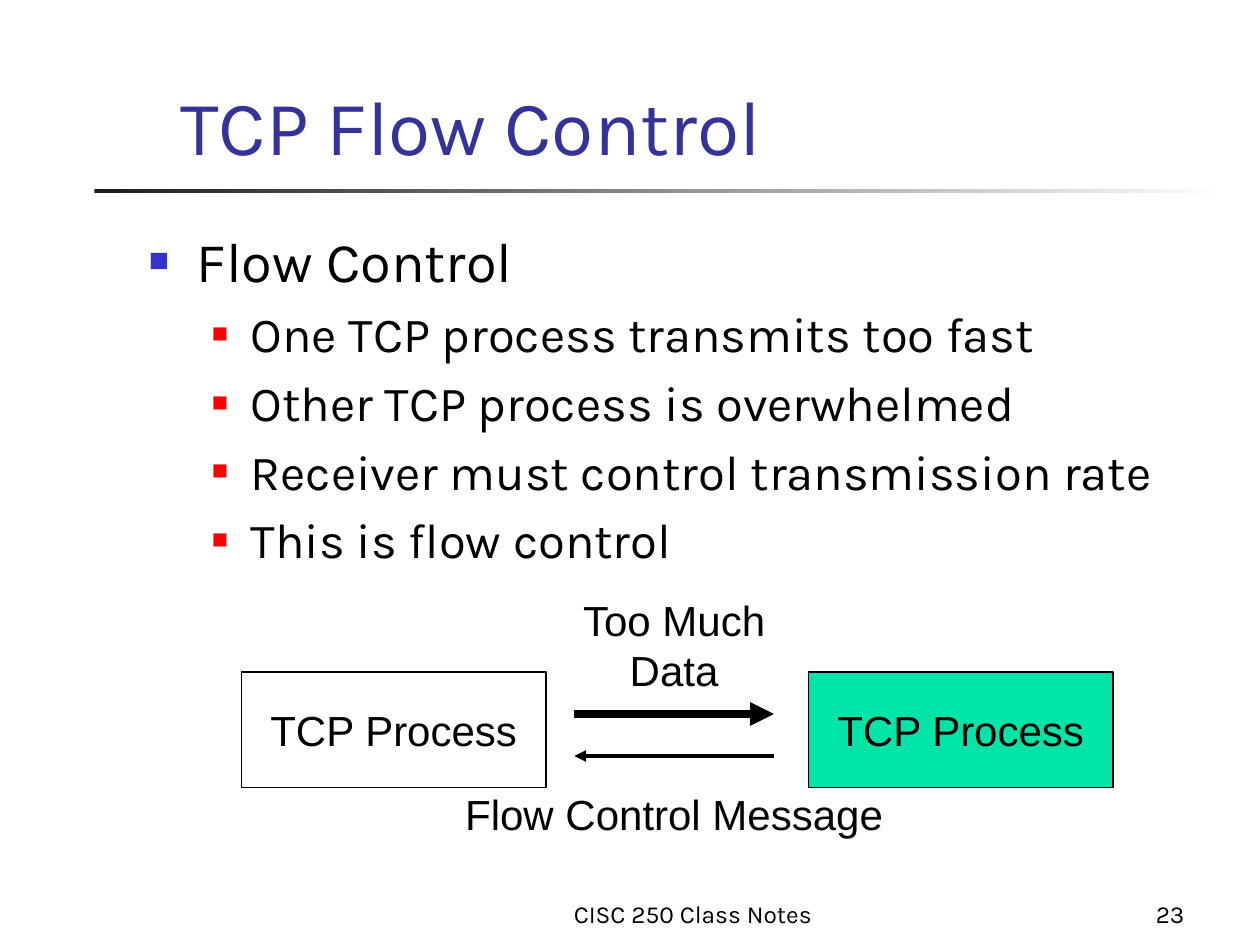
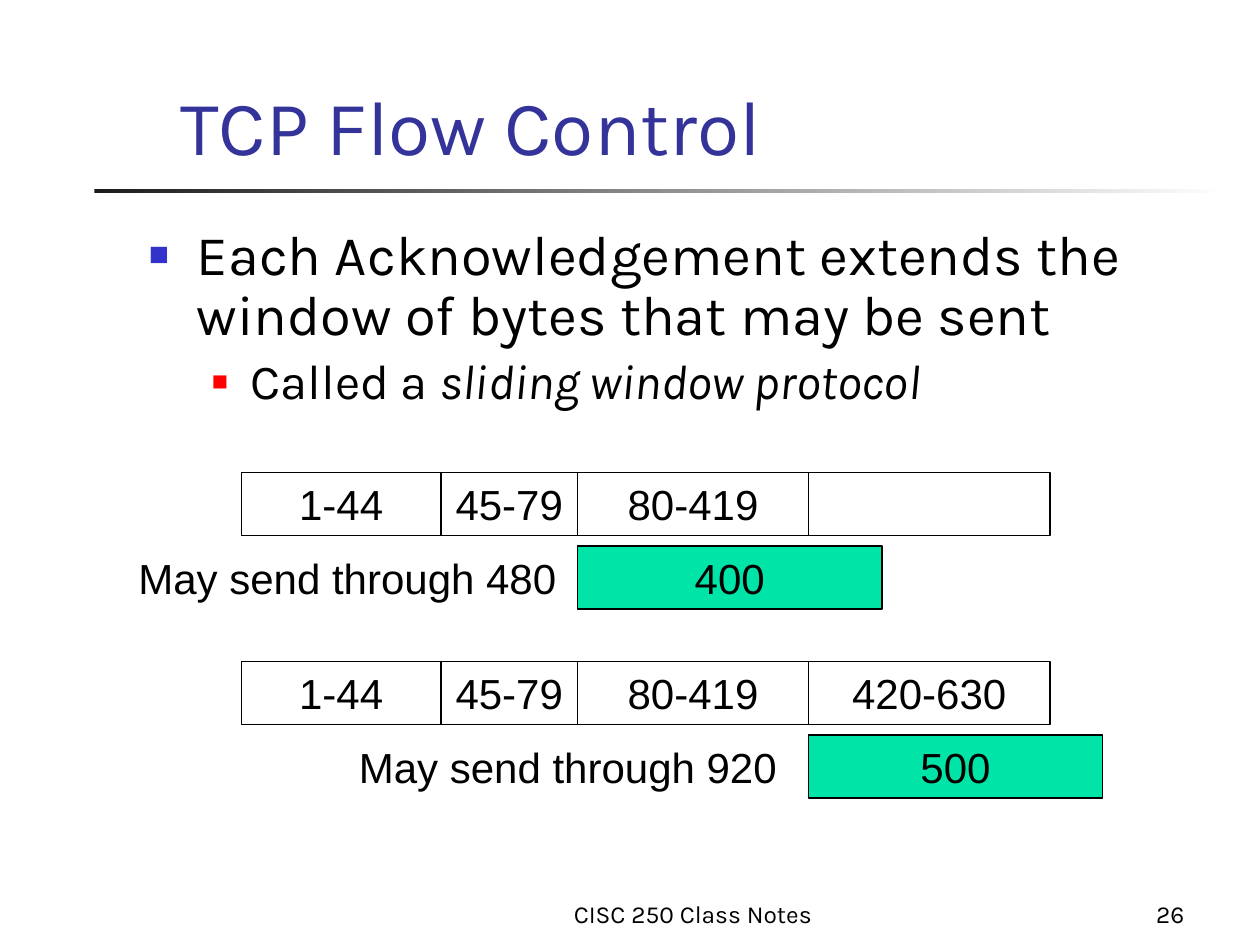
from lxml.etree import SubElement
from pptx import Presentation
from pptx.dml.color import RGBColor
from pptx.enum.shapes import MSO_CONNECTOR as Connector, MSO_SHAPE as Shape
from pptx.enum.text import MSO_ANCHOR as Anchor, MSO_AUTO_SIZE as AutoSize, PP_ALIGN as Align
from pptx.oxml.ns import qn
from pptx.util import Inches, Pt

BLACK, WHITE, GREEN, TITLE_BLUE = "000000", "FFFFFF", "00E4A8", "333399"
# Per bullet level: text size, left margin, hanging indent (inches), colour, percent size
LEVELS = [(32, 0.38, 0.38, "3333CC", 60), (28, 0.81, 0.31, "FF0000", 55)]

deck = Presentation()
deck.slide_width, deck.slide_height = Inches(10), Inches(7.5)
UNIT = deck.slide_width / 120  # square grid: 120 columns by 90 rows


def paint(fill, color):
    fill.solid()
    fill.fore_color.rgb = RGBColor.from_string(color)


def write(page, cell, text, *, font="Arial", size=24, color=BLACK, align=Align.CENTER,
          anchor=Anchor.TOP, wrap=False, fill=None, levels=None, spacing=None):
    """Place text in a grid cell; a fill makes it a box, *stars* mark italics."""
    place = [round(value * UNIT) for value in cell]
    if fill:
        box = page.shapes.add_shape(Shape.RECTANGLE, *place)
        box.shadow.inherit = False
        paint(box.fill, fill)
        paint(box.line.fill, BLACK)
        box.line.width = Pt(0.75)
        anchor = Anchor.MIDDLE
    else:
        box = page.shapes.add_textbox(*place)
    frame = box.text_frame
    frame.word_wrap, frame.vertical_anchor = wrap, anchor
    frame.auto_size = AutoSize.NONE if wrap or fill else AutoSize.SHAPE_TO_FIT_TEXT

    for number, line in enumerate(text.split("\n")):
        para = frame.add_paragraph() if number else frame.paragraphs[0]
        para.alignment = align
        if levels:
            size, margin, hanging, bullet_color, percent = LEVELS[levels[number]]
            para.level = levels[number]
            if spacing:
                para.line_spacing = spacing
            props = para._p.get_or_add_pPr()
            props.set("marL", str(Inches(margin)))
            props.set("indent", str(-Inches(hanging)))
            before = SubElement(props, qn("a:spcBef"))
            SubElement(before, qn("a:spcPct"), val="20000")
            tint = SubElement(props, qn("a:buClr"))
            SubElement(tint, qn("a:srgbClr"), val=bullet_color)
            SubElement(props, qn("a:buSzPct"), val=str(percent * 1000))
            SubElement(props, qn("a:buFont"), typeface="Arial")
            SubElement(props, qn("a:buChar"), char="■")
        for index, piece in enumerate(line.split("*")):
            if piece:
                span = para.add_run()
                span.text = piece
                span.font.name, span.font.size = font, Pt(size)
                paint(span.font.fill, color)
                if index % 2:
                    span.font.italic = True


# Shared frame: rule, footer, page number, title and bullets
contents = [
    ("23", 59, None, [0, 1, 1, 1, 1],
     "Flow Control\nOne TCP process transmits too fast\nOther TCP process is overwhelmed\n"
     "Receiver must control transmission rate\nThis is flow control"),
    ("26", 20.8, 0.9, [0, 1],
     "Each Acknowledgement extends the window of bytes that may be sent\n"
     "Called a *sliding window protocol*"),
]
pages = []
for page_number, body_height, spacing, levels, bullets in contents:
    page = deck.slides.add_slide(deck.slide_layouts[6])
    pages.append(page)
    paint(page.background.fill, WHITE)
    rule = page.shapes.add_shape(Shape.RECTANGLE, *[round(v * UNIT) for v in (9, 18, 108, 0.4)])
    rule.shadow.inherit = False
    rule.line.fill.background()
    rule.fill.gradient()
    rule.fill.gradient_angle = 0
    for stop, shade in zip(rule.fill.gradient_stops, ("1C1C1C", WHITE)):
        stop.color.rgb = RGBColor.from_string(shade)
    write(page, (41, 83, 50, 6), "CISC 250 Class Notes", font="Karla", size=14,
          anchor=Anchor.BOTTOM, wrap=True)
    write(page, (103, 83, 11, 6), page_number, font="Karla", size=14, align=Align.RIGHT,
          anchor=Anchor.BOTTOM, wrap=True)
    write(page, (16, 3, 99.4, 13.9), "TCP Flow Control", font="Karla", size=44,
          color=TITLE_BLUE, align=Align.LEFT, anchor=Anchor.BOTTOM, wrap=True)
    write(page, (13, 21, 103, body_height), bullets, font="Karla", align=Align.LEFT,
          wrap=True, levels=levels, spacing=spacing)
control_page, window_page = pages

# Two processes and the messages between them
for left, fill in ((23, WHITE), (77, GREEN)):
    write(control_page, (left, 64, 29, 11), "TCP Process", fill=fill)
for start, end, row, weight in ((73.7, 54.7, 72, 2.25), (54.7, 73.7, 68, 4.5)):
    ends = [round(value * UNIT) for value in (start, row, end, row)]
    arrow = control_page.shapes.add_connector(Connector.STRAIGHT, *ends)
    paint(arrow.line.fill, BLACK)
    arrow.line.width = Pt(weight)
    shape_props = arrow.element.spPr
    SubElement(shape_props.find(qn("a:ln")), qn("a:tailEnd"), type="triangle")
    SubElement(shape_props, qn("a:effectLst"))
write(control_page, (54.1, 56, 20.2, 10.8), "Too Much\nData")
write(control_page, (43.1, 74.5, 42.2, 6), "Flow Control Message")

# Sliding window before and after the next segment
edges = [23, 42, 55, 77, 100]
windows = [
    (45, "", 55, 29, "400", 12, "May send through 480"),
    (63, "420-630", 77, 28, "500", 33, "May send through 920"),
]
for top, last_segment, left, width, credit, note_left, note in windows:
    segments = ["1-44", "45-79", "80-419", last_segment]
    for start, end, segment in zip(edges, edges[1:], segments):
        write(window_page, (start, top, end - start, 6), segment, fill=WHITE)
    write(window_page, (left, top + 7, width, 6), credit, fill=GREEN)
    write(window_page, (note_left, top + 7, 42.2, 6), note, align=Align.LEFT)

deck.save("out.pptx")
